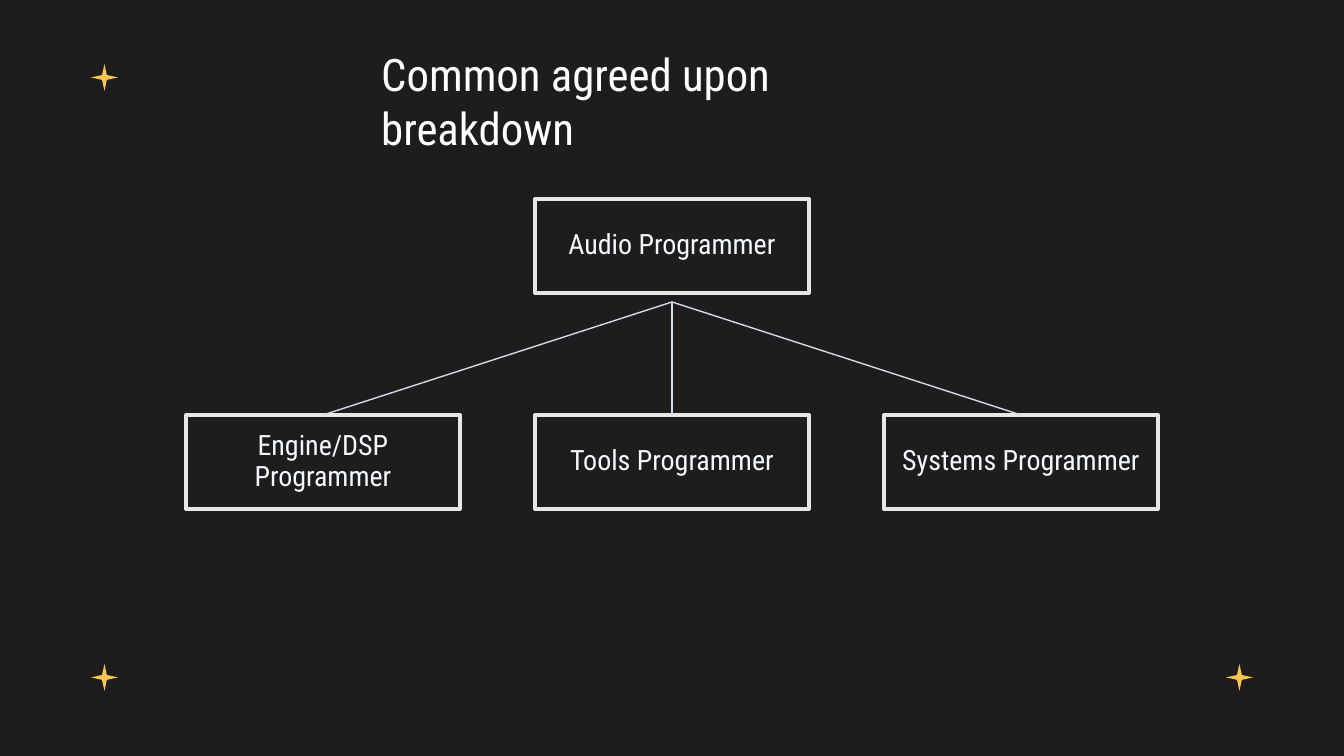
from lxml.etree import SubElement
from pptx import Presentation
from pptx.dml.color import RGBColor
from pptx.enum.shapes import MSO_CONNECTOR, MSO_SHAPE
from pptx.enum.text import MSO_ANCHOR, MSO_AUTO_SIZE, PP_ALIGN
from pptx.oxml.ns import qn
from pptx.util import Emu, Pt

PX_PER_INCH = 134.4
FONT = "Roboto Condensed"

DARK = RGBColor(0x1D, 0x1D, 0x1D)
GOLD = RGBColor(0xFF, 0xC6, 0x54)
WHITE = RGBColor(0xFF, 0xFF, 0xFF)
BORDER = RGBColor(0xE7, 0xE7, 0xE7)
LABEL = RGBColor(0xF4, 0xF9, 0xFF)
BRANCH = RGBColor(0xD3, 0xDC, 0xE9)

CENTER = 672
ROLE_WIDTH, ROLE_HEIGHT = 274, 94
ROLE_STEP = 349
PARENT_TOP, CHILD_TOP = 199, 415
FORK_TOP = 302
STAR_SIZE = 27
STARS = [(1226, 664), (91, 664), (91, 64)]
ROLES = ["Engine/DSP Programmer", "Tools Programmer", "Systems Programmer"]


def px(length):
    return Emu(round(length * 914400 / PX_PER_INCH))


def style_font(para, size, color):
    font = para.runs[0].font
    font.name = FONT
    font.size = Pt(size)
    font.color.rgb = color


def add_star(page, left, top):
    star = page.shapes.add_shape(
        MSO_SHAPE.STAR_4_POINT, px(left), px(top), px(STAR_SIZE), px(STAR_SIZE))
    star.adjustments[0] = 0.125
    star.shadow.inherit = False
    star.fill.solid()
    star.fill.fore_color.rgb = GOLD
    star.line.fill.background()


def add_title(page, text):
    box = page.shapes.add_textbox(px(368), px(40), px(608), px(67))
    frame = box.text_frame
    frame.word_wrap = True
    frame.auto_size = MSO_AUTO_SIZE.SHAPE_TO_FIT_TEXT
    frame.text = text
    style_font(frame.paragraphs[0], 24, WHITE)


def add_role(page, text, center, top):
    box = page.shapes.add_shape(
        MSO_SHAPE.RECTANGLE, px(center - ROLE_WIDTH / 2), px(top),
        px(ROLE_WIDTH), px(ROLE_HEIGHT))
    box.shadow.inherit = False
    box.fill.solid()
    box.fill.fore_color.rgb = DARK
    box.line.color.rgb = BORDER
    box.line.width = Pt(2)
    frame = box.text_frame
    frame.word_wrap = True
    frame.vertical_anchor = MSO_ANCHOR.MIDDLE
    frame.margin_left = frame.margin_right = px(16)
    frame.margin_top = frame.margin_bottom = px(9)
    frame.text = text
    para = frame.paragraphs[0]
    para.alignment = PP_ALIGN.CENTER
    para.line_spacing = 0.9
    style_font(para, 15, LABEL)
    return box


def add_branch(page, child, center):
    """Draw a line from the fork below the parent to the top of a child box."""
    line = page.shapes.add_connector(
        MSO_CONNECTOR.STRAIGHT, px(CENTER), px(FORK_TOP), px(center), px(CHILD_TOP))
    line.end_connect(child, 0)
    line.line.color.rgb = BRANCH
    line.line.width = Pt(0.75)
    SubElement(line.element.spPr, qn("a:effectLst"))


def main():
    deck = Presentation()
    deck.slide_width, deck.slide_height = px(1344), px(756)
    page = deck.slides.add_slide(deck.slide_layouts[6])
    page.background.fill.solid()
    page.background.fill.fore_color.rgb = DARK

    for left, top in STARS:
        add_star(page, left, top)
    add_title(page, "Common agreed upon breakdown")
    add_role(page, "Audio Programmer", CENTER, PARENT_TOP)
    for index, role in enumerate(ROLES):
        center = CENTER + (index - 1) * ROLE_STEP
        child = add_role(page, role, center, CHILD_TOP)
        add_branch(page, child, center)

    deck.save("out.pptx")


if __name__ == "__main__":
    main()
